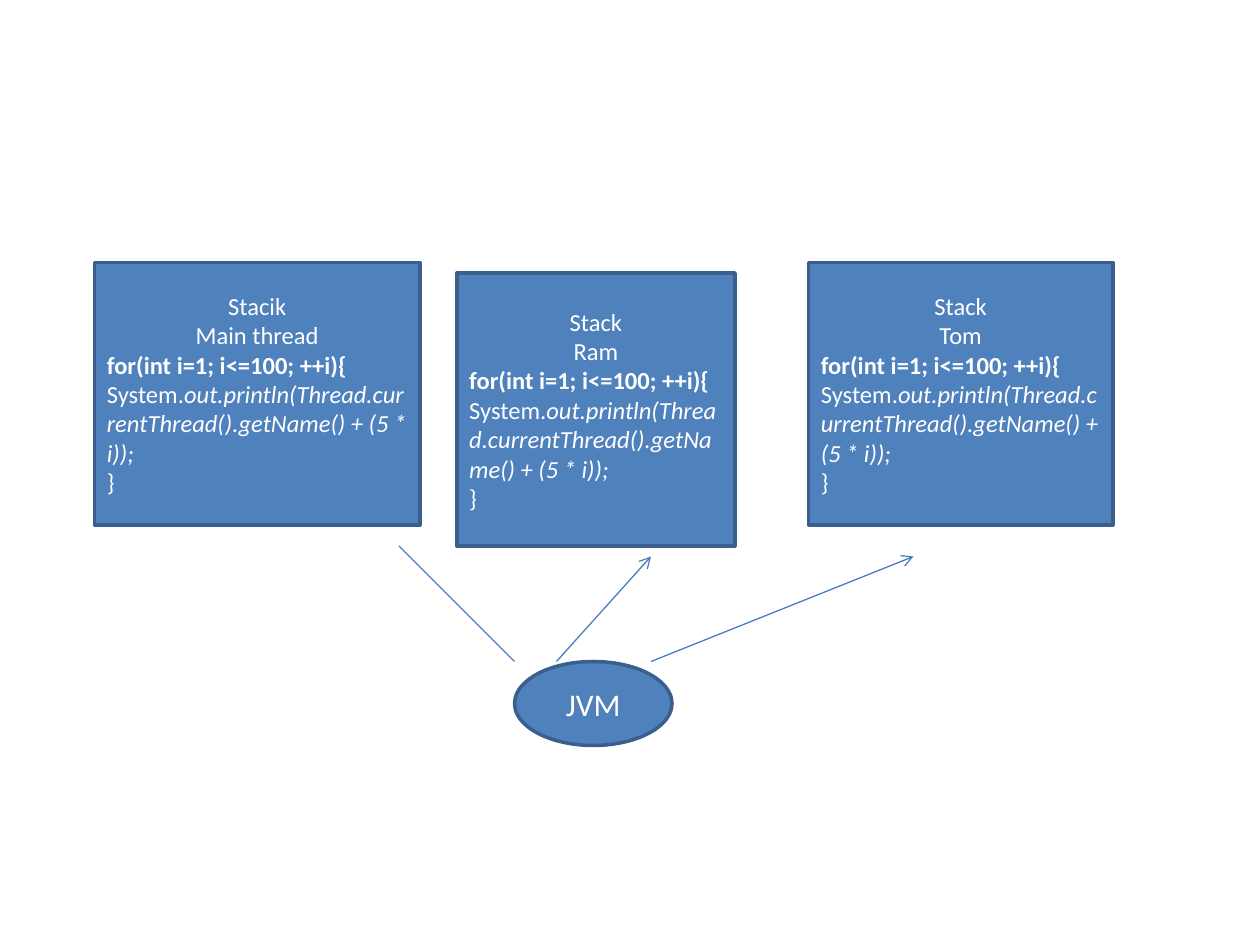
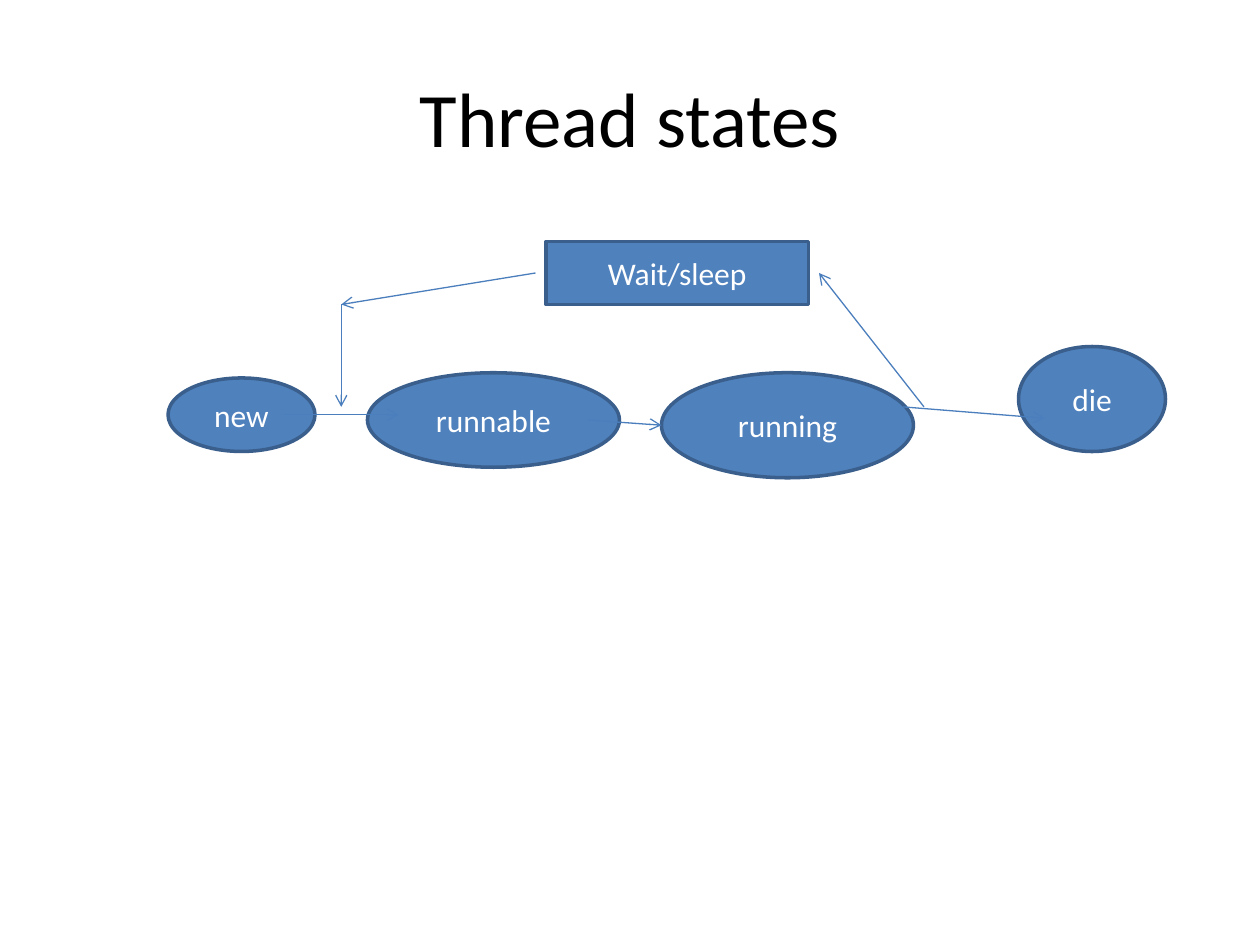
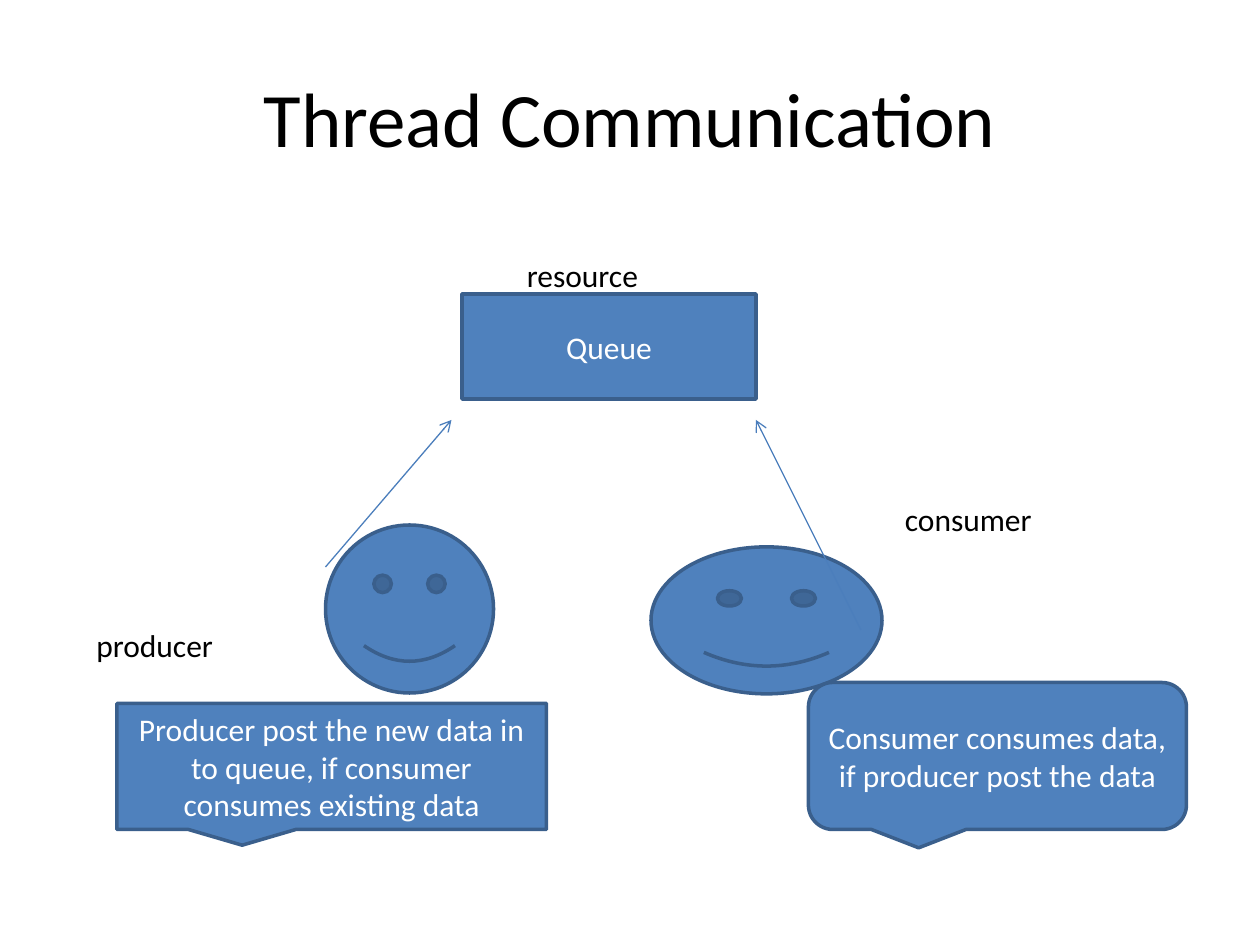
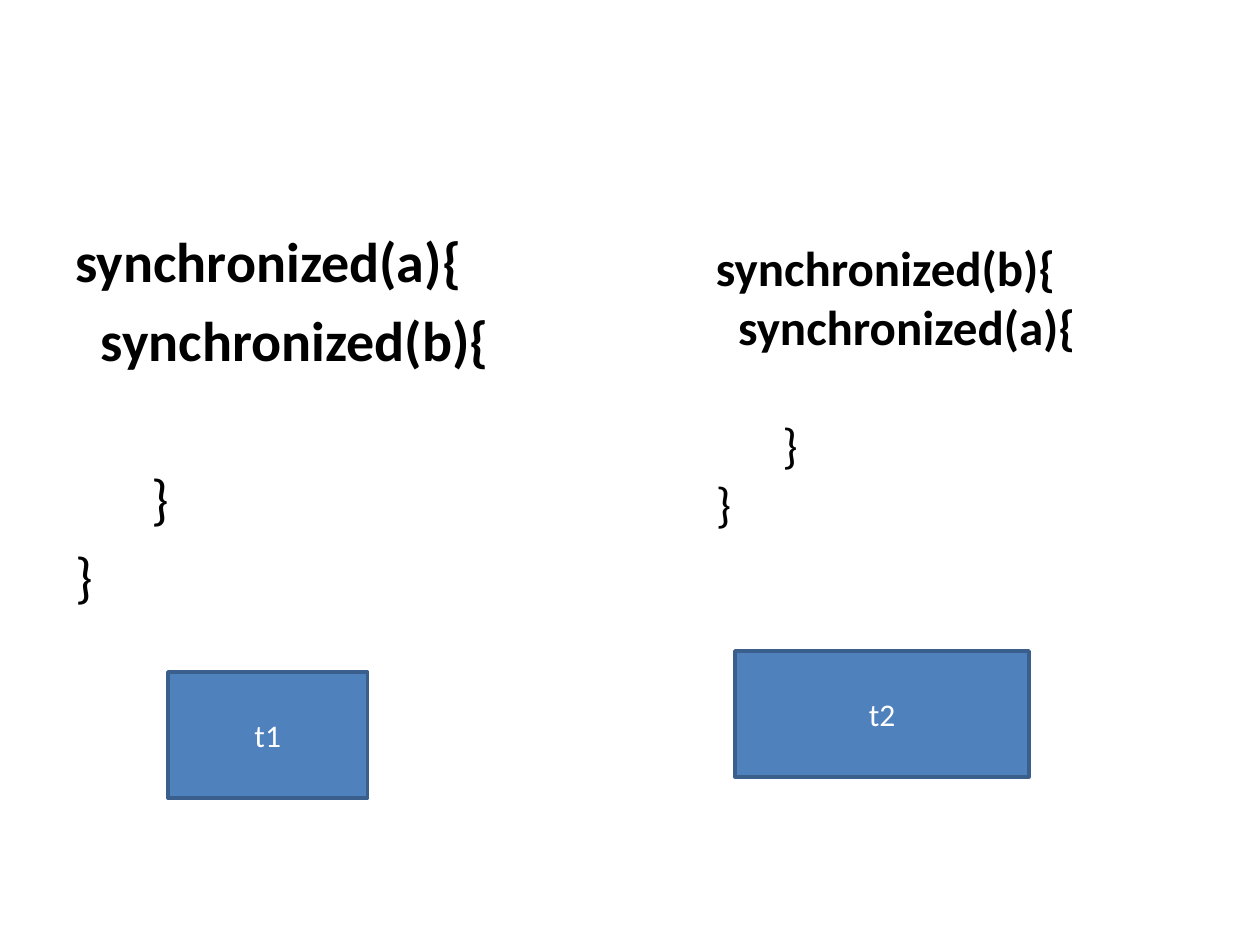
from dataclasses import dataclass

from lxml import etree
from pptx import Presentation
from pptx.dml.color import RGBColor
from pptx.enum.shapes import MSO_CONNECTOR, MSO_SHAPE
from pptx.enum.text import MSO_ANCHOR, MSO_AUTO_SIZE, PP_ALIGN
from pptx.oxml.ns import qn
from pptx.util import Pt

RECT = MSO_SHAPE.RECTANGLE
OVAL = MSO_SHAPE.OVAL
SMILEY = MSO_SHAPE.SMILEY_FACE
RECT_CALLOUT = MSO_SHAPE.RECTANGULAR_CALLOUT
ROUND_CALLOUT = MSO_SHAPE.ROUNDED_RECTANGULAR_CALLOUT
STRAIGHT = MSO_CONNECTOR.STRAIGHT
LEFT, CENTER = PP_ALIGN.LEFT, PP_ALIGN.CENTER
TOP, MIDDLE = MSO_ANCHOR.TOP, MSO_ANCHOR.MIDDLE
GROW = MSO_AUTO_SIZE.SHAPE_TO_FIT_TEXT


@dataclass(frozen=True)
class Theme:
    font: str = "Calibri"
    fill: RGBColor = RGBColor(0x4F, 0x81, 0xBD)
    border: RGBColor = RGBColor(0x3A, 0x5F, 0x8C)
    arrow: RGBColor = RGBColor(0x4B, 0x7E, 0xBC)
    light: RGBColor = RGBColor(0xFF, 0xFF, 0xFF)
    dark: RGBColor = RGBColor(0, 0, 0)
    title_size: int = 44
    body_size: int = 18
    stack_size: int = 14
    border_width: float = 2
    arrow_width: float = 0.75
    space_width: float = 0.226  # width of a space, as a share of the type size
    line_height: float = 1.22   # height of a line, as a share of the type size


THEME = Theme()
SLIDE_SIZE = (720, 540)
TITLE_BOX = (36, 21.6, 648, 90)

# Boxes are (left, top, width, height); arrows are (from x, from y, to x, to y).
STACKS = [
    (("Stacik", "Main thread"), (54, 150, 186, 150)),
    (("Stack", "Ram"), (261, 156, 159, 156)),
    (("Stack", "Tom"), (462, 150, 174, 150)),
]
STACK_CODE = [
    [("for(int i=1; i<=100; ++i){", "b")],
    [("System.", ""),
     ("out.println(Thread.currentThread().getName() + (5 * i));", "i")],
    [("}", "")],
]
JVM_BOX = (294, 378, 90, 48)
JVM_LINE = (294, 378, 228, 312)
JVM_ARROWS = [(318, 378, 372, 318), (372, 378, 522, 318)]

STATES = [
    ("new", OVAL, (96, 216, 84, 42)),
    ("runnable", OVAL, (210, 213, 144, 54)),
    ("running", OVAL, (378, 213, 144, 60)),
    ("die", OVAL, (582, 198, 84, 60)),
    ("Wait/sleep", RECT, (312, 138, 150, 36)),
]
STATE_ARROWS = [
    (162, 237, 228, 237),
    (336, 240, 378, 243),
    (516, 232.5, 597, 239),
    (528, 232.5, 468, 156),
    (306, 156, 195, 174),
    (195, 174, 195, 232.5),
]

ACTORS = [
    ("Queue", RECT, (264, 168, 168, 60)),
    ("", SMILEY, (186, 300, 96, 96)),
    ("", SMILEY, (372, 312.5, 132, 84)),
]
ACTOR_ARROWS = [(186, 324, 258, 240), (492, 360, 432, 240)]
ACTOR_LABELS = [
    ("resource", (294, 142.5, 108, 29)),
    ("producer", (48, 354, 90, 29)),
    ("consumer", (510, 282, 114, 29)),
]
CALLOUTS = [
    ("Producer post the new data in to queue, if consumer consumes existing data",
     RECT_CALLOUT, (66.75, 402, 245.5, 72)),
    ("Consumer consumes data, if producer post the data",
     ROUND_CALLOUT, (462, 390, 216, 84)),
]

LOCKS = [
    dict(outer="a", inner="b", size=32, gap=0.2, box=(36, 126, 276, 228), grow=False),
    dict(outer="b", inner="a", size=28, gap=0, box=(402, 132, 234, 199), grow=True),
]
LOCK_THREADS = [
    ("t1", RECT, (96, 384, 114, 72)),
    ("t2", RECT, (420, 372, 168, 72)),
]


def points(values):
    return [Pt(value) for value in values]


def write(shape, lines, size=THEME.body_size, color=THEME.dark, align=LEFT,
          anchor=TOP, aligns=(), indents=(), befores=()):
    """Fill a shape with lines; each is a string or a list of (text, "b"/"i"/"") runs.

    aligns, indents and befores give values line by line."""
    frame = shape.text_frame
    frame.word_wrap = True
    frame.vertical_anchor = anchor
    for index, line in enumerate(lines):
        paragraph = frame.paragraphs[0] if index == 0 else frame.add_paragraph()
        paragraph.alignment = aligns[index] if aligns else align
        if indents:
            paragraph._p.get_or_add_pPr().set("marL", str(int(Pt(indents[index]))))
        if befores:
            paragraph.space_before = Pt(befores[index])
        for text, style in [(line, "")] if isinstance(line, str) else line:
            run = paragraph.add_run()
            run.text = text
            font = run.font
            font.name, font.size = THEME.font, Pt(size)
            font.bold, font.italic = "b" in style, "i" in style
            font.color.rgb = color


def add_node(slide, kind, box, lines, **text_format):
    node = slide.shapes.add_shape(kind, *points(box))
    node.shadow.inherit = False
    node.fill.solid()
    node.fill.fore_color.rgb = THEME.fill
    node.line.color.rgb = THEME.border
    node.line.width = Pt(THEME.border_width)
    write(node, lines, **{"color": THEME.light, "align": CENTER,
                          "anchor": MIDDLE, **text_format})


def add_nodes(slide, nodes):
    for text, kind, box in nodes:
        add_node(slide, kind, box, [text] if text else [])


def add_label(slide, box, lines, grow=False, **text_format):
    label = slide.shapes.add_textbox(*points(box))
    write(label, lines, **text_format)
    if grow:
        label.text_frame.auto_size = GROW


def add_title(slide, text):
    add_label(slide, TITLE_BOX, [text], size=THEME.title_size,
              align=CENTER, anchor=MIDDLE)


def add_line(slide, ends, arrow=True):
    line = slide.shapes.add_connector(STRAIGHT, *points(ends))
    line.line.color.rgb = THEME.arrow
    line.line.width = Pt(THEME.arrow_width)
    if arrow:
        etree.SubElement(line.line._get_or_add_ln(), qn("a:tailEnd"), type="arrow")
    etree.SubElement(line._element.spPr, qn("a:effectLst"))


def add_arrows(slide, arrows):
    for ends in arrows:
        add_line(slide, ends)


def build_stacks(slide):
    for heading, box in STACKS:
        lines = [*heading, *STACK_CODE]
        aligns = [CENTER] * len(heading) + [LEFT] * len(STACK_CODE)
        add_node(slide, RECT, box, lines, size=THEME.stack_size, aligns=aligns)
    add_node(slide, OVAL, JVM_BOX, ["JVM"])
    add_line(slide, JVM_LINE, arrow=False)
    add_arrows(slide, JVM_ARROWS)


def build_states(slide):
    add_title(slide, "Thread states")
    add_nodes(slide, STATES)
    add_arrows(slide, STATE_ARROWS)


def build_communication(slide):
    add_title(slide, "Thread Communication")
    add_nodes(slide, ACTORS)
    add_arrows(slide, ACTOR_ARROWS)
    for text, box in ACTOR_LABELS:
        add_label(slide, box, [text], grow=True)
    add_nodes(slide, CALLOUTS)


def build_locks(slide):
    """Two nested locks, with one line left open inside the inner one."""
    for lock in LOCKS:
        size = lock["size"]
        before = size * lock["gap"]
        open_line = before + size * THEME.line_height
        space = size * THEME.space_width
        lines = [[(f"synchronized({lock['outer']}){{", "b")],
                 [(f"synchronized({lock['inner']}){{", "b")], "}", "}"]
        add_label(slide, lock["box"], lines, grow=lock["grow"], size=size,
                  indents=[0, 2 * space, 6 * space, 0],
                  befores=[0, before, before + open_line, before])
    add_nodes(slide, LOCK_THREADS)


def main():
    deck = Presentation()
    deck.slide_width, deck.slide_height = points(SLIDE_SIZE)
    blank = deck.slide_layouts[6]
    for build in (build_stacks, build_states, build_communication, build_locks):
        build(deck.slides.add_slide(blank))
    deck.save("out.pptx")


if __name__ == "__main__":
    main()
